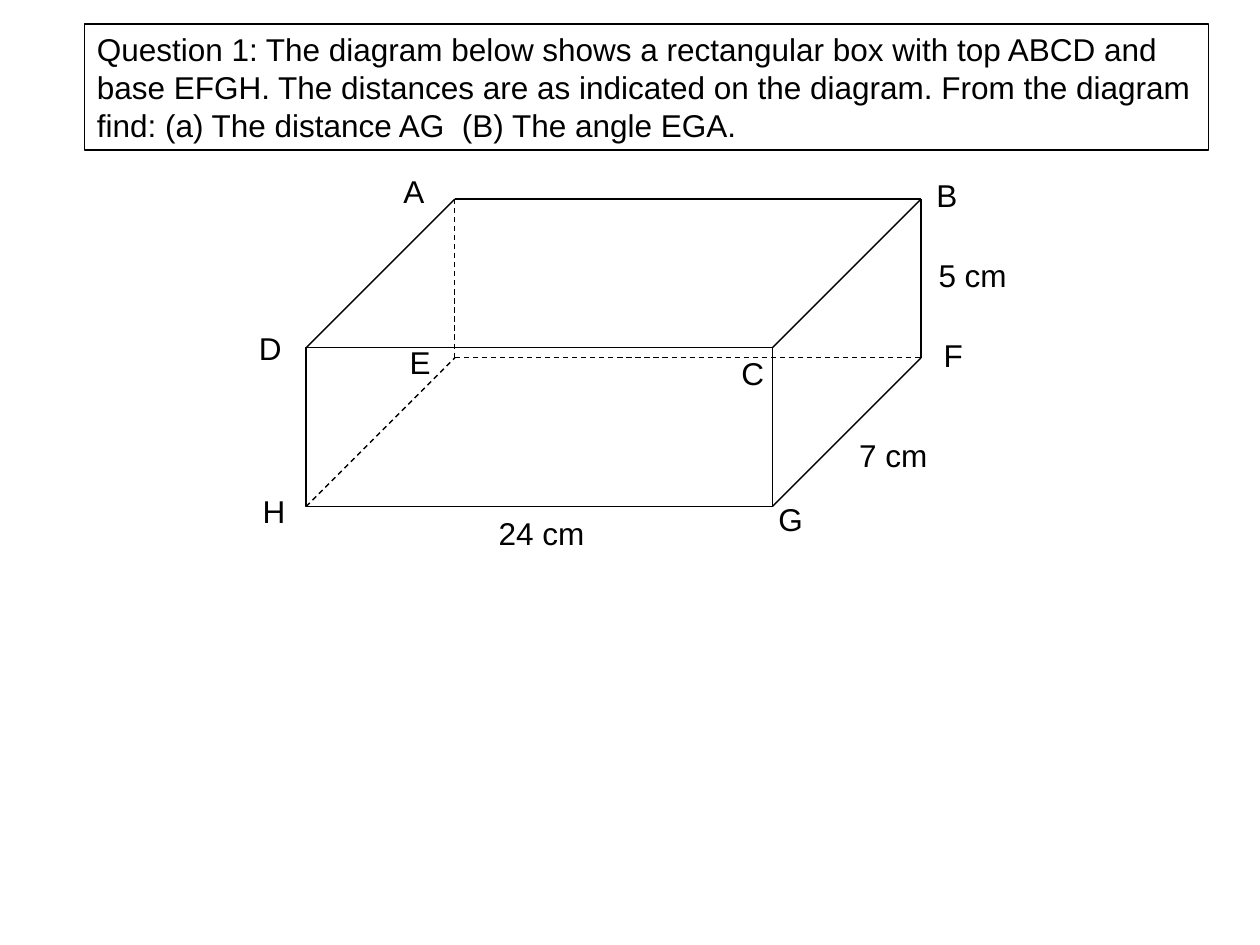
import pptx
import pptx.dml.color
import pptx.enum.dml
import pptx.enum.shapes
import pptx.enum.text
import pptx.oxml.ns
import pptx.util
from lxml import etree

COLUMNS, ROWS = 100, 75
BOX_LEFT, BOX_TOP = 24.3, 27.6
BOX_WIDTH, BOX_HEIGHT, BOX_DEPTH = 37, 12.6, 11.8
QUESTION = (
    "Question 1: The diagram below shows a rectangular box with top ABCD and "
    "base EFGH. The distances are as indicated on the diagram. From the diagram "
    "find: (a) The distance AG  (B) The angle EGA."
)


def color(hex_string):
    return pptx.dml.color.RGBColor.from_string(hex_string)


def write_text(shape, text, size=18, font="Arial", ink="000000", centered=False):
    alignment = pptx.enum.text.PP_ALIGN
    frame = shape.text_frame
    frame.word_wrap = True
    frame.auto_size = pptx.enum.text.MSO_AUTO_SIZE.SHAPE_TO_FIT_TEXT
    frame.vertical_anchor = pptx.enum.text.MSO_ANCHOR.TOP
    paragraph = frame.paragraphs[0]
    paragraph.alignment = alignment.CENTER if centered else alignment.LEFT
    run = paragraph.add_run()
    run.text = text
    run.font.size = pptx.util.Pt(size)
    run.font.name = font
    run.font.color.rgb = color(ink)


class Sketch:
    ink = "000000"
    paper = "FFFFFF"
    line_width = pptx.util.Pt(0.75)

    def __init__(self, presentation):
        self.slide = presentation.slides.add_slide(presentation.slide_layouts[6])
        self.column = presentation.slide_width / COLUMNS
        self.row = presentation.slide_height / ROWS

    def place(self, *lengths):
        steps = (self.column, self.row) * 2
        return [round(length * step) for length, step in zip(lengths, steps)]

    def style_line(self, line):
        line.color.rgb = color(self.ink)
        line.width = self.line_width

    def rectangle(self, left, top, width, height, filled=False):
        shape = self.slide.shapes.add_shape(
            pptx.enum.shapes.MSO_SHAPE.RECTANGLE, *self.place(left, top, width, height))
        shape.shadow.inherit = False
        if filled:
            shape.fill.solid()
            shape.fill.fore_color.rgb = color(self.paper)
        else:
            shape.fill.background()
        self.style_line(shape.line)
        return shape

    def edge(self, start, end, hidden=False):
        connector = self.slide.shapes.add_connector(
            pptx.enum.shapes.MSO_CONNECTOR.STRAIGHT, *self.place(*start, *end))
        self.style_line(connector.line)
        if hidden:
            connector.line.dash_style = pptx.enum.dml.MSO_LINE.DASH
        etree.SubElement(connector._element.spPr, pptx.oxml.ns.qn("a:effectLst"))

    def label(self, text, center, width, height=4, centered=False):
        x, y = center
        shape = self.slide.shapes.add_textbox(
            *self.place(x - width / 2, y - height / 2, width, height))
        write_text(shape, text, ink=self.ink, centered=centered)


def shift(point, offset):
    return point[0] + offset[0], point[1] + offset[1]


def middle(start, end):
    return (start[0] + end[0]) / 2, (start[1] + end[1]) / 2


def find_vertices():
    front = {
        "D": (BOX_LEFT, BOX_TOP),
        "C": (BOX_LEFT + BOX_WIDTH, BOX_TOP),
        "H": (BOX_LEFT, BOX_TOP + BOX_HEIGHT),
        "G": (BOX_LEFT + BOX_WIDTH, BOX_TOP + BOX_HEIGHT),
    }
    back = {name: shift(front[partner], (BOX_DEPTH, -BOX_DEPTH))
            for name, partner in zip("ABEF", "DCHG")}
    return {**front, **back}


def main():
    presentation = pptx.Presentation()
    presentation.slide_width = pptx.util.Inches(10)
    presentation.slide_height = pptx.util.Inches(7.5)
    sketch = Sketch(presentation)
    vertices = find_vertices()

    sketch.rectangle(BOX_LEFT, BOX_TOP, BOX_WIDTH, BOX_HEIGHT, filled=True)
    for start, end in ("DA", "CB", "AB", "GF", "BF"):
        sketch.edge(vertices[start], vertices[end])
    for start, end in ("EF", "AE", "HE"):
        sketch.edge(vertices[start], vertices[end], hidden=True)

    vertex_offsets = {
        "A": (-3.25, -0.6), "B": (2.05, -0.3), "F": (2.55, -0.2), "C": (-1.55, 2),
        "G": (1.45, 1), "H": (-2.55, 0.4), "D": (-2.85, 0), "E": (-2.75, 0.3),
    }
    for name, offset in vertex_offsets.items():
        sketch.label(name, shift(vertices[name], offset), width=5.1, centered=True)

    dimensions = [
        ("24 cm", "HG", (0.8, 2.1), 10),
        ("7 cm", "GF", (4.25, 1.8), 8.5),
        ("5 cm", "BF", (4.65, -0.3), 8.5),
    ]
    for text, (start, end), offset, width in dimensions:
        center = shift(middle(vertices[start], vertices[end]), offset)
        sketch.label(text, center, width)

    write_text(sketch.rectangle(6.7, 1.9, 89.2, 10), QUESTION)
    presentation.save("out.pptx")


if __name__ == "__main__":
    main()
